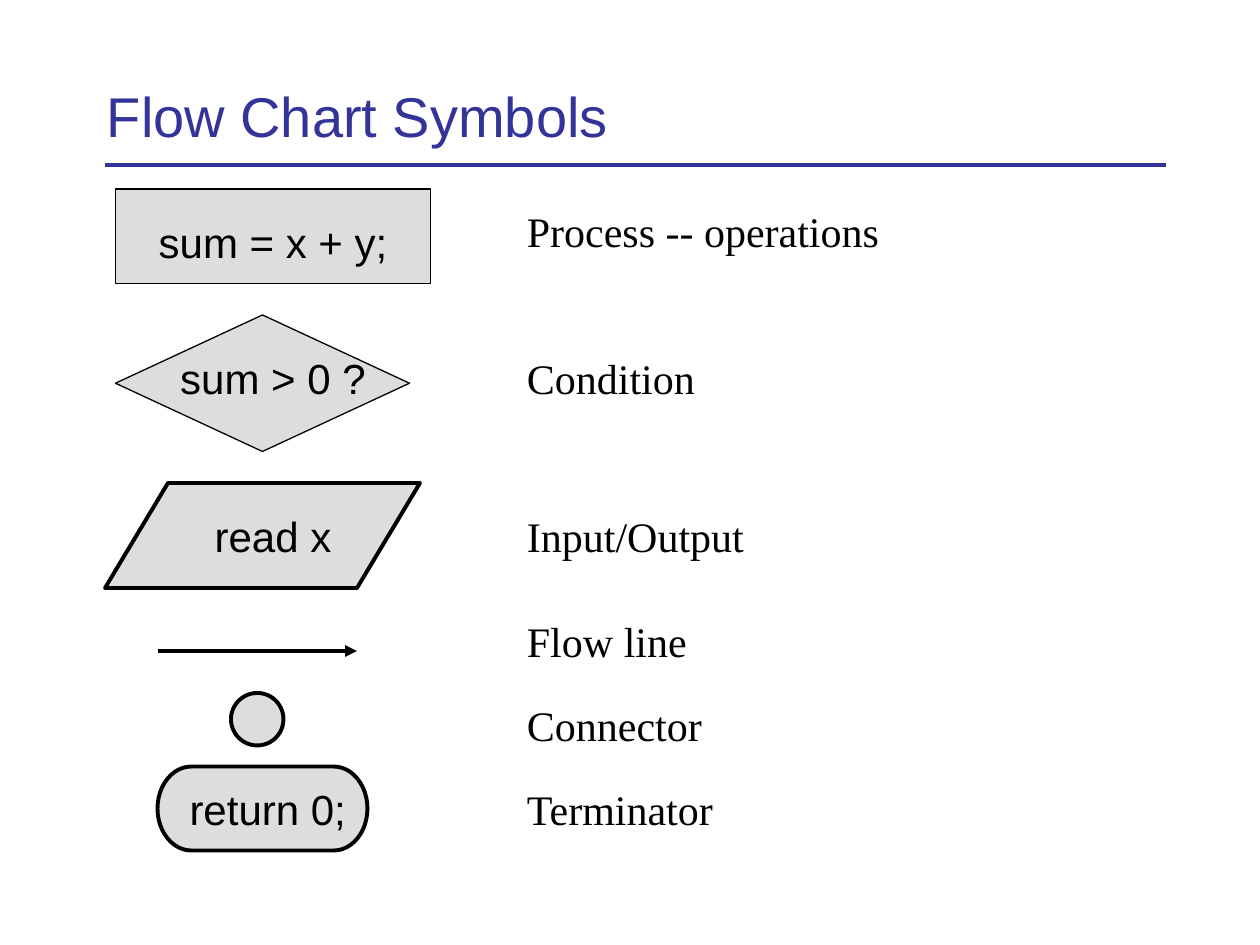
from pptx import Presentation
from pptx.dml.color import RGBColor
from pptx.enum.shapes import MSO_CONNECTOR, MSO_SHAPE
from pptx.enum.text import MSO_ANCHOR, PP_ALIGN
from pptx.oxml.ns import qn
from pptx.util import Inches, Pt
from lxml import etree

PROCESS = MSO_SHAPE.FLOWCHART_PROCESS
DECISION = MSO_SHAPE.FLOWCHART_DECISION
IN_OUT = MSO_SHAPE.FLOWCHART_DATA
CONNECTOR = MSO_SHAPE.FLOWCHART_CONNECTOR
TERMINATOR = MSO_SHAPE.FLOWCHART_TERMINATOR
STRAIGHT = MSO_CONNECTOR.STRAIGHT
TOP, MIDDLE = MSO_ANCHOR.TOP, MSO_ANCHOR.MIDDLE
LEFT, CENTER = PP_ALIGN.LEFT, PP_ALIGN.CENTER

COLORS = {"title": "333399", "ink": "000000", "symbol": "DDDDDD"}
RGB = {name: RGBColor.from_string(value) for name, value in COLORS.items()}
UNIT = Inches(1) // 12  # the grid has 120 columns and 90 rows

prs = Presentation()
prs.slide_width, prs.slide_height = 120 * UNIT, 90 * UNIT
s = prs.slides.add_slide(prs.slide_layouts[6])


def add_text(shapes, text, box, font="Arial", size=24, color="ink",
             align=LEFT, anchor=TOP):
    tf = shapes.add_textbox(*[n * UNIT for n in box]).text_frame
    tf.word_wrap = True
    tf.vertical_anchor = anchor
    p = tf.paragraphs[0]
    p.alignment = align
    r = p.add_run()
    r.text = text
    for name, value in {"name": font, "size": Pt(size)}.items():
        setattr(r.font, name, value)
    r.font.color.rgb = RGB[color]


def add_line(x1, x2, y, color):
    line = s.shapes.add_connector(
        STRAIGHT, x1 * UNIT, int(y * UNIT), x2 * UNIT, int(y * UNIT))
    line.line.color.rgb = RGB[color]
    line.line.width = Pt(2.25)
    etree.SubElement(line._element.spPr, qn("a:effectLst"))
    return line


# Title and rule
add_line(10, 111, 15.7, "title")
add_text(s.shapes, "Flow Chart Symbols", (9, 6, 102, 10), size=32,
         color="title", anchor=MIDDLE)

# Symbols: preset, box, line width, caption, caption box
symbols = [
    (PROCESS, (11, 18, 30, 9), 0.75, "sum = x + y;", (12, 20, 28, 6)),
    (DECISION, (11, 30, 28, 13), 0.75, "sum > 0 ?", (12, 33, 28, 6)),
    (IN_OUT, (10, 46, 30, 10), 2.25, "read x", (12, 48, 28, 6)),
    (CONNECTOR, (22, 66, 5, 5), 2.25, None, None),
    (TERMINATOR, (15, 73, 20, 8), 2.25, "return 0;", (16, 74, 19, 6)),
]
for preset, box, width, caption, caption_box in symbols:
    shapes = s.shapes.add_group_shape().shapes if caption else s.shapes
    sp = shapes.add_shape(preset, *[n * UNIT for n in box])
    sp.shadow.inherit = False
    sp.fill.solid()
    sp.fill.fore_color.rgb = RGB["symbol"]
    sp.line.color.rgb = RGB["ink"]
    sp.line.width = Pt(width)
    if caption:
        add_text(shapes, caption, caption_box, align=CENTER)

# Flow line with arrowhead
arrow = add_line(15, 34, 62, "ink")
etree.SubElement(arrow.line._get_or_add_ln(), qn("a:tailEnd"), type="triangle")

# Meaning of each symbol
meanings = {"Process -- operations": 19, "Condition": 33, "Input/Output": 48,
            "Flow line": 58, "Connector": 66, "Terminator": 74}
for meaning, row in meanings.items():
    add_text(s.shapes, meaning, (49, row, 45, 6), font="Times New Roman")

prs.save("out.pptx")
